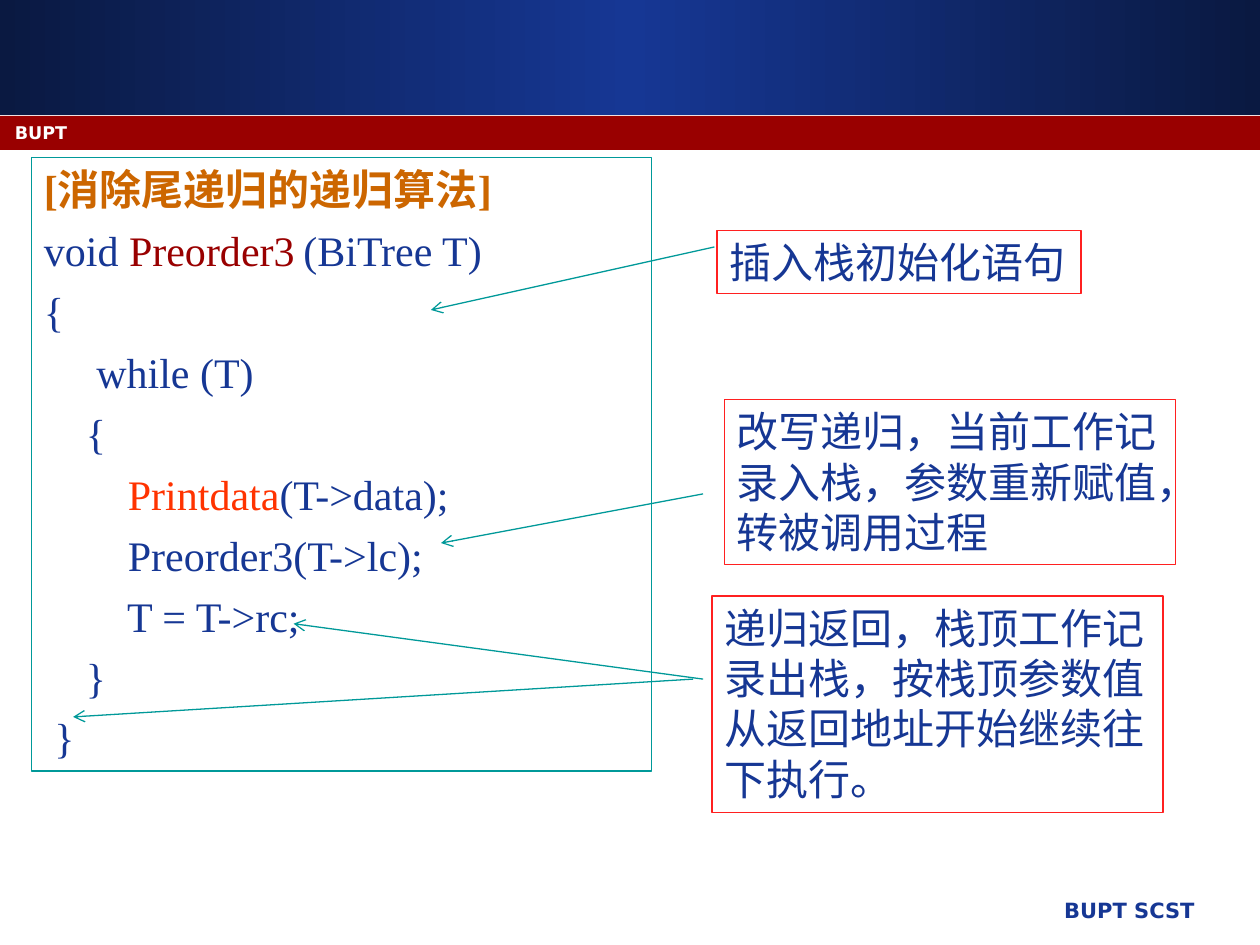
import pptx
import pptx.util
import pptx.dml.color
import pptx.enum.shapes
import pptx.enum.text
import pptx.oxml
import pptx.oxml.ns

PX = 9144
NAVY, RED, TEAL, WHITE = "163794", "990000", "009999", "FFFFFF"
LATIN, CJK, LABEL = "Times New Roman", "Noto Sans CJK SC", "DejaVu Sans"
CODE = {"size": 24, "name": LATIN, "color": NAVY, "bold": False}
NOTE = CODE | {"name": CJK}
HEADER = {"size": 10, "name": LABEL, "color": WHITE, "bold": True}
FOOTER = HEADER | {"size": 12, "color": NAVY}

bands = [((0, 0, 1000, 91), None), ((0, 92, 1000, 27), RED)]
labels = [
    ("BUPT", (2, 92, 925, 25), HEADER, "LEFT"),
    ("BUPT SCST", (421, 707, 537, 35), FOOTER, "RIGHT"),
]
code_box = (25, 125, 492, 487)
code = [
    [("[消除尾递归的递归算法]", {"color": "CC6600", "bold": True})],
    [("void ", {}), ("Preorder3", {"color": RED}), (" ", {"size": 20}), ("(BiTree T)", {})],
    [("{", {})],
    [("     while (T)", {})],
    [("    {", {})],
    [("        ", {}), ("Printdata", {"color": "FF3300"}), ("(T->data);", {})],
    [("        Preorder3(T->lc);", {})],
    [("        T = T->rc;", {})],
    [("    }", {})],
    [(" }", {})],
]
notes = [
    ("插入栈初始化语句", (569, 183, 289, 50), False),
    ("改写递归，当前工作记录入栈，参数重新赋值，转被调用过程", (575, 317, 358, 131), True),
    ("递归返回，栈顶工作记录出栈，按栈顶参数值从返回地址开始继续往下执行。", (565, 473, 358, 172), True),
]
arrows = [
    (567, 196, 342, 246),
    (558, 392, 350, 431),
    (558, 539, 233, 495),
    (550, 539, 58, 569),
]


def px(lengths):
    return [length * PX for length in lengths]


def rgb(value):
    return pptx.dml.color.RGBColor.from_string(value)


def add_box(place, fill=None, line=None):
    box = slide.shapes.add_shape(pptx.enum.shapes.MSO_SHAPE.RECTANGLE, *px(place))
    box.shadow.inherit = False
    if fill:
        box.fill.solid()
        box.fill.fore_color.rgb = rgb(fill)
    else:
        box.fill.background()
    if line:
        box.line.color.rgb = rgb(line)
        box.line.width = pptx.util.Pt(0.75)
    else:
        box.line.fill.background()
    return box


def write(box, paragraphs, base, align="LEFT", wrap=True, before=0, hang=0):
    frame = box.text_frame
    frame.word_wrap = wrap
    frame.vertical_anchor = pptx.enum.text.MSO_ANCHOR.TOP
    for number, runs in enumerate(paragraphs):
        paragraph = frame.add_paragraph() if number else frame.paragraphs[0]
        paragraph.alignment = pptx.enum.text.PP_ALIGN[align]
        paragraph.space_before = pptx.util.Pt(before if number else 0)
        if hang:
            properties = paragraph._p.get_or_add_pPr()
            properties.set("marL", str(hang * PX))
            properties.set("indent", str(-hang * PX))
        for words, changes in runs:
            run = paragraph.add_run()
            run.text = words
            look = base | changes
            formats = {"size": pptx.util.Pt(look["size"]), "name": look["name"], "bold": look["bold"]}
            for key, value in formats.items():
                setattr(run.font, key, value)
            run.font.color.rgb = rgb(look["color"])
            east_asian = pptx.oxml.parse_xml(f'<a:ea {pptx.oxml.ns.nsdecls("a")} typeface="{CJK}"/>')
            run.font._element.find(pptx.oxml.ns.qn("a:latin")).addnext(east_asian)


def add_arrow(ends):
    arrow = slide.shapes.add_connector(pptx.enum.shapes.MSO_CONNECTOR.STRAIGHT, *px(ends))
    arrow.line.color.rgb = rgb(TEAL)
    arrow.line.width = pptx.util.Pt(0.75)
    namespace = pptx.oxml.ns.nsdecls("a")
    arrow.line._get_or_add_ln().append(pptx.oxml.parse_xml(f'<a:tailEnd {namespace} type="arrow"/>'))
    arrow._element.spPr.append(pptx.oxml.parse_xml(f"<a:effectLst {namespace}/>"))


deck = pptx.Presentation()
deck.slide_width, deck.slide_height = px((1000, 750))
slide = deck.slides.add_slide(deck.slide_layouts[6])

for place, color in bands:
    band = add_box(place, color)
    if not color:
        band.fill.gradient()
        band.fill.gradient_angle = 0
        stops = band.fill._fill._gradFill.gsLst
        stops.clear()
        for position, shade in ((0, "0A1941"), (50, NAVY), (100, "0A1941")):
            stops.append(pptx.oxml.parse_xml(
                f'<a:gs {pptx.oxml.ns.nsdecls("a")} pos="{position * 1000}"><a:srgbClr val="{shade}"/></a:gs>'))

for words, place, look, align in labels:
    write(slide.shapes.add_textbox(*px(place)), [[(words, {})]], look, align)

write(add_box(code_box, line=TEAL), code, CODE, before=6, hang=38)
for words, place, wrap in notes:
    write(add_box(place, line="FF2020"), [[(words, {})]], NOTE, wrap=wrap)
for ends in arrows:
    add_arrow(ends)

deck.save("out.pptx")
